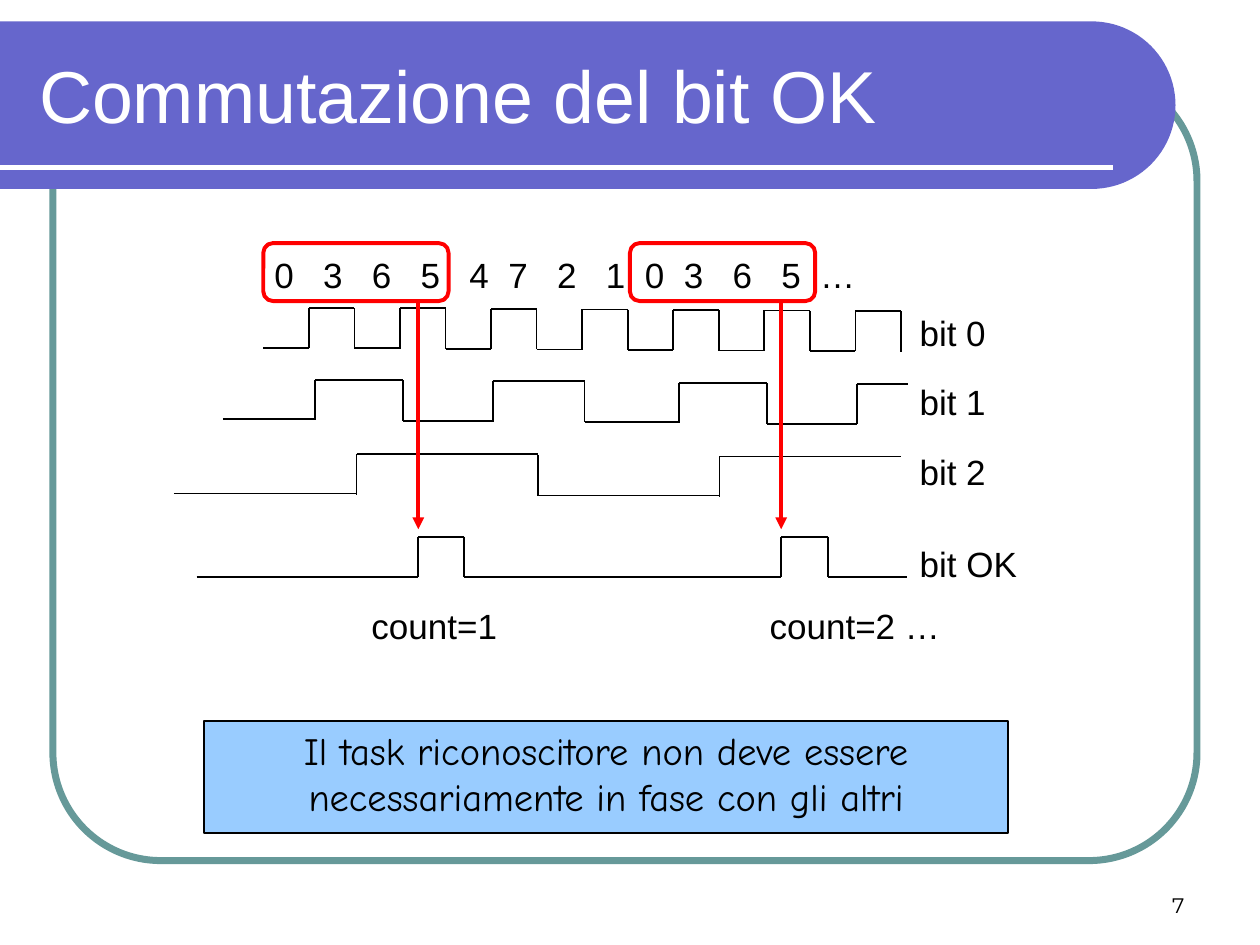
from math import cos, pi, sin

from lxml.etree import SubElement
from pptx import Presentation
from pptx.dml.color import RGBColor
from pptx.enum.shapes import MSO_CONNECTOR, MSO_SHAPE as SHAPE
from pptx.enum.text import MSO_ANCHOR as ANCHOR, PP_ALIGN as ALIGN
from pptx.oxml.ns import qn
from pptx.util import Inches, Pt

rgb = RGBColor.from_string

prs = Presentation()
prs.slide_width, prs.slide_height = Inches(10), Inches(7.5)
COL, ROW = prs.slide_width / 10, prs.slide_height / 7.5
s = prs.slides.add_slide(prs.slide_layouts[5])


def grid(*lengths):
    """Turn alternating column and row counts into slide lengths."""
    return [round(n * (ROW if i % 2 else COL)) for i, n in enumerate(lengths)]


def line(x1, y1, x2, y2, color="000000", width=1):
    c = s.shapes.add_connector(MSO_CONNECTOR.STRAIGHT, *grid(x1, y1, x2, y2))
    c.line.color.rgb = rgb(color)
    c.line.width = Pt(width)
    SubElement(c._element.spPr, qn("a:effectLst"))
    return c


# Frame, banner and rule
frame = s.shapes.add_shape(SHAPE.ROUNDED_RECTANGLE, *grid(0.42, 0.58, 9.08, 6.25))
frame.adjustments[0] = 0.137
frame.shadow.inherit = False
frame.fill.background()
frame.line.color.rgb = rgb("669999")
frame.line.width = Pt(4)

top, bottom, right = 0.17, 1.5, 9.33
radius = (bottom - top) / 2
arc = [grid(right - radius + radius * cos(a), top + radius + radius * sin(a))
       for a in (pi * (i / 48 - 0.5) for i in range(49))]
fb = s.shapes.build_freeform(*grid(0, top))
fb.add_line_segments(arc + [grid(0, bottom)], close=True)
banner = fb.convert_to_shape()
banner.shadow.inherit = False
banner.fill.solid()
banner.fill.fore_color.rgb = rgb("6666CC")
banner.line.fill.background()
line(0, 1.33, 8.83, 1.33, "FFFFFF", 3)

title = s.shapes.title
s.shapes._spTree.append(title._element)
title.left, title.top, title.width, title.height = grid(0.21, 0.25, 8.77, 1)

# Square waves: high level, drift per column, edges (every wave starts low)
SWING = 0.32
waves = [
    (2.44, 0.006, [2.09 + 0.3615 * i for i in range(15)]),
    (3.01, 0.008, [1.77, 2.5, 3.2, 3.91, 4.64, 5.39, 6.09, 6.8, 7.21]),
    (3.6, 0.006, [1.38, 2.83, 4.27, 5.71, 7.15]),
    (4.26, 0, [1.56, 3.32, 3.68, 6.2, 6.57, 7.2]),
]
for high, drift, edges in waves:
    for i, (x1, x2) in enumerate(zip(edges, edges[1:])):
        y = high + drift * (x1 - 2)
        level = y if i % 2 else y + SWING
        line(x1, level, x2, level)
        if i:
            line(x1, y, x1, y + SWING)
x, y = waves[0][2][-1], waves[0][0] + 0.03
line(x, y, x, y + SWING)

# Note box
note = s.shapes.add_shape(SHAPE.RECTANGLE, *grid(1.62, 5.72, 6.38, 0.89))
note.shadow.inherit = False
note.fill.solid()
note.fill.fore_color.rgb = rgb("99CCFF")
note.line.color.rgb = rgb("000000")
note.line.width = Pt(1)

# Recognised sequences, each with an arrow to its OK pulse
for box_x, arrow_x in ((2.09, 3.32), (5, 6.2)):
    box = s.shapes.add_shape(SHAPE.ROUNDED_RECTANGLE, *grid(box_x, 1.93, 1.47, 0.46))
    box.shadow.inherit = False
    box.fill.background()
    box.line.color.rgb = rgb("FF0000")
    box.line.width = Pt(2.25)
    arrow = line(arrow_x, 2.39, arrow_x, 4.2, "FF0000", 2.25)
    SubElement(arrow.line._get_or_add_ln(), qn("a:tailEnd"), type="triangle")

# Texts: shape or place, wording, wrap, format
plain = dict(size=Pt(20), name="Arial")
texts = [
    (title, "Commutazione del bit OK", True,
     dict(size=Pt(42), name="Arial", color="FFFFFF", align=ALIGN.LEFT, anchor=ANCHOR.MIDDLE)),
    (note, "Il task riconoscitore non deve essere necessariamente in fase con gli altri", True,
     dict(size=Pt(22), name="Comic Neue", align=ALIGN.CENTER)),
    ((7.17, 6.83, 2.33, 0.5), "7", True,
     dict(size=Pt(12), name="Montserrat", align=ALIGN.RIGHT, anchor=ANCHOR.BOTTOM)),
    ((2.85, 4.75, 1.2, 0.44), "count=1", True, plain),
    ((6.01, 4.75, 1.56, 0.44), "count=2 …", True, plain),
]
for label, y, width in (("bit 0", 2.42, 0.73), ("bit 1", 2.97, 0.73),
                        ("bit 2", 3.53, 0.73), ("bit OK", 4.26, 0.98)):
    texts.append(((7.2, y, width, 0.44), label, True, plain))

# Sequence values: some neighbours stand closer together
WIDE, NARROW = 0.387, 0.309
x = 2.08
for i, value in enumerate("036547210365…"):
    texts.append(((x, 1.96, 0.5, 0.44), value, True, plain))
    x += NARROW if i in (4, 7, 8, 11) else WIDE

for place, words, wrap, fmt in texts:
    sp = s.shapes.add_textbox(*grid(*place)) if isinstance(place, tuple) else place
    tf = sp.text_frame
    tf.word_wrap = wrap
    tf.vertical_anchor = fmt.get("anchor", ANCHOR.TOP)
    p = tf.paragraphs[0]
    p.alignment = fmt.get("align", ALIGN.LEFT)
    r = p.add_run()
    r.text = words
    for key in ("size", "name"):
        setattr(r.font, key, fmt[key])
    r.font.color.rgb = rgb(fmt.get("color", "000000"))

prs.save("out.pptx")
